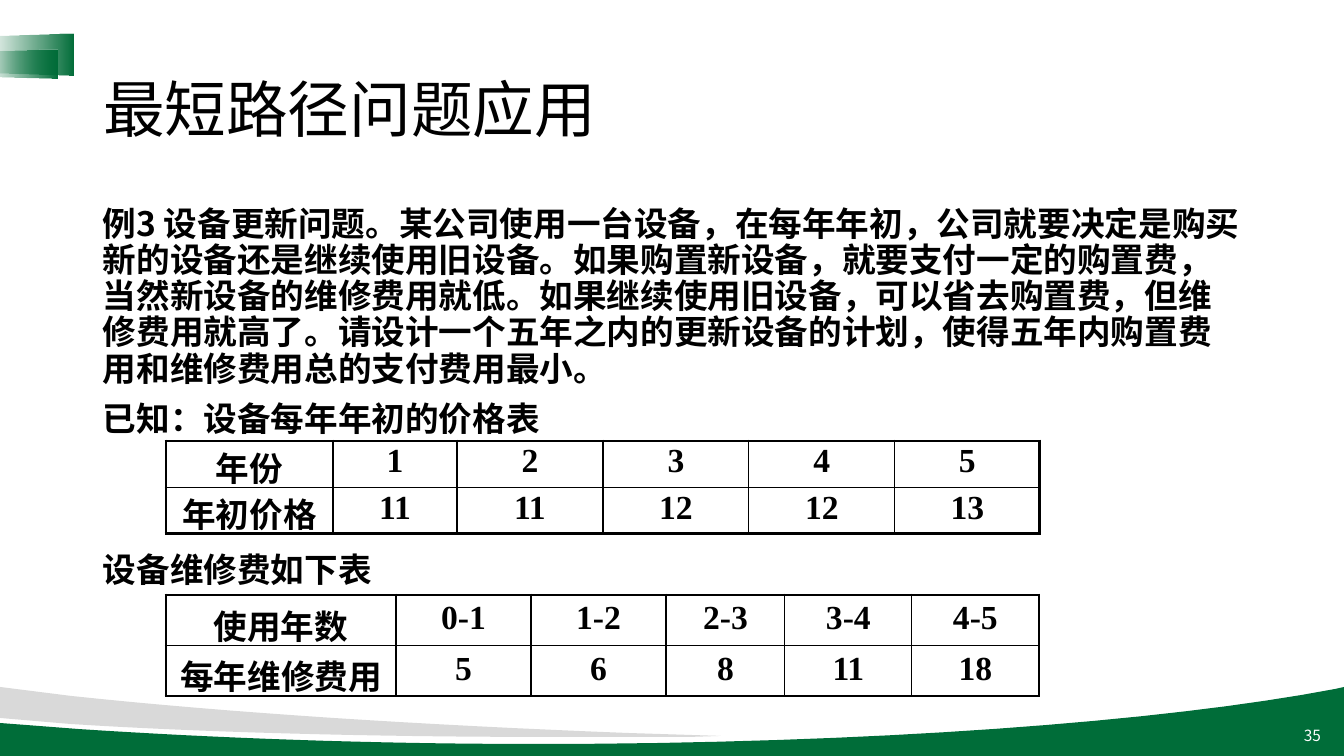
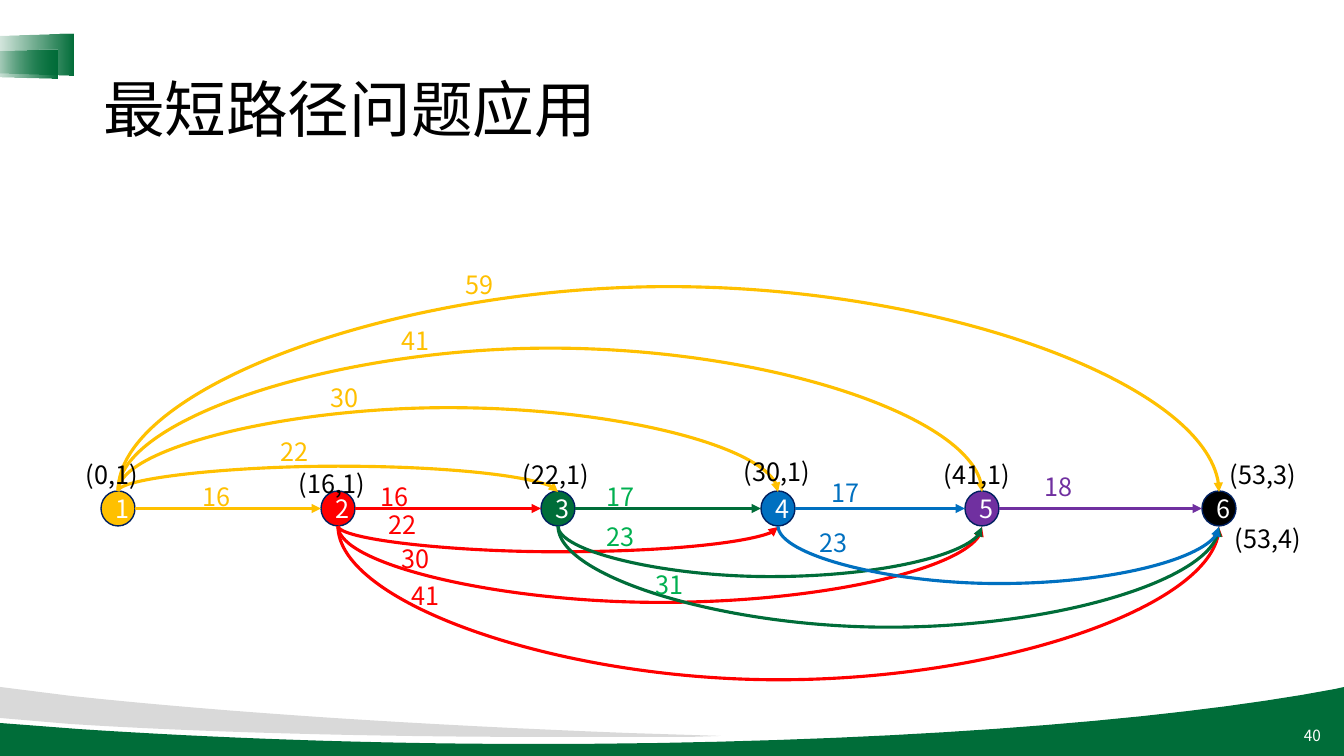
from lxml import etree
from pptx import Presentation
from pptx import util as u
from pptx.dml.color import RGBColor
from pptx.enum import shapes, text
from pptx.oxml.ns import qn

PX = 12192000 / 1344  # EMU per px
SANS, SERIF = "Noto Sans CJK SC", "Times New Roman"

BLACK = RGBColor(0x00, 0x00, 0x00)
WHITE = RGBColor(0xFF, 0xFF, 0xFF)
GREEN = RGBColor(0x00, 0x6D, 0x39)
GREY = RGBColor(0xD9, 0xD9, 0xD9)
NAVY = RGBColor(0x00, 0x20, 0x60)
YELLOW = RGBColor(0xFF, 0xC0, 0x00)
RED = RGBColor(0xFF, 0x00, 0x00)
BLUE = RGBColor(0x00, 0x70, 0xC0)
PURPLE = RGBColor(0x70, 0x30, 0xA0)
LIGHT_GREEN = RGBColor(0x00, 0xB0, 0x50)

# Shared frame: pairs are line ends, sixes are Bezier curves
TITLE = "最短路径问题应用"
SWOOSHES = [
    (GREEN, [(1344, 687), (1344, 756), (0, 756), (0, 723), (78, 729),
             (214, 738, 370, 744, 536, 744), (869, 744, 1162, 722, 1335, 689)]),
    (GREY, [(0, 687), (71, 696), (231, 713, 420, 725, 627, 733), (721, 736),
            (689, 737), (645, 737, 599, 737, 552, 737),
            (364, 737, 194, 732, 70, 724), (0, 718)]),
]
TABS = [(8, 10, 41, 89), (6, 27, 29, 74)]

# Equipment example: text with space before in points
EXAMPLE = [
    ("例3 设备更新问题。某公司使用一台设备，在每年年初，公司就要决定是购买新的设备还是"
     "继续使用旧设备。如果购置新设备，就要支付一定的购置费，当然新设备的维修费用就低。"
     "如果继续使用旧设备，可以省去购置费，但维修费用就高了。请设计一个五年之内的更新设备的"
     "计划，使得五年内购置费用和维修费用总的支付费用最小。", 0),
    ("已知：设备每年年初的价格表", 10),
    ("设备维修费如下表", 82),
]
PRICES = [["年份", "1", "2", "3", "4", "5"],
          ["年初价格", "11", "11", "12", "12", "13"]]
UPKEEP = [["使用年数", "0-1", "1-2", "2-3", "3-4", "4-5"],
          ["每年维修费用", "5", "6", "8", "11", "18"]]
# rows, top, row height, column widths, line spacing
TABLES = [
    (PRICES, 441, 46, [167, 124, 146, 146, 146, 145], 0.9),
    (UPKEEP, 595, 50, [230, 135, 135, 119, 127, 127], 1.0),
]
TABLE_LEFT = 166

# Network: node number -> left, fill, colour of the costs on its edges
NODE_TOP, NODE_W, NODE_H = 491, 34, 35
NODES = {
    1: (101, YELLOW, YELLOW),
    2: (321, RED, RED),
    3: (541, GREEN, LIGHT_GREEN),
    4: (761, BLUE, BLUE),
    5: (965, PURPLE, PURPLE),
    6: (1202, BLACK, BLACK),
}
# from, to, cost, bulge (0 straight, below 0 over the nodes), label left and top
EDGES = [
    (1, 2, "16", 0, 193, 476), (1, 3, "22", -25, 271, 431),
    (1, 4, "30", -84, 321, 377), (1, 5, "41", -144, 392, 320),
    (1, 6, "59", -206, 456, 264),
    (2, 3, "16", 0, 371, 476), (2, 4, "22", 26, 379, 504),
    (2, 5, "30", 77, 392, 538), (2, 6, "41", 155, 402, 575),
    (3, 4, "17", 0, 597, 476), (3, 5, "23", 51, 597, 516),
    (3, 6, "31", 102, 646, 564),
    (4, 5, "17", 0, 822, 472), (4, 6, "23", 58, 810, 522),
    (5, 6, "18", 0, 1035, 466),
]
MARKS = [("(0,1)", 76, 454), ("(16,1)", 289, 463), ("(22,1)", 513, 454),
         ("(30,1)", 734, 451), ("(41,1)", 934, 454), ("(53,3)", 1220, 454),
         ("(53,4)", 1225, 518)]


def px(*lengths):
    return [u.Emu(round(n * PX)) for n in lengths]


def write(paragraph, words, size, color=BLACK, font=SANS, bold=False, align=None):
    paragraph.alignment = align
    run = paragraph.add_run()
    run.text = words
    run.font.size, run.font.bold = u.Pt(size), bold
    run.font.color.rgb, run.font.name = color, font
    etree.SubElement(run._r.get_or_add_rPr(), qn("a:ea"), typeface=SANS)


def add_text(slide, box, words, size, color=BLACK, align=None, wrap=False):
    frame = slide.shapes.add_textbox(*px(*box)).text_frame
    frame.word_wrap = wrap
    write(frame.paragraphs[0], words, size, color, align=align)
    return frame


# ---- Shared frame ----
def outline(parts, steps=16):
    points = []
    for part in parts:
        if len(part) == 2:
            points.append(part)
            continue
        p0, p1, p2, p3 = points[-1], part[:2], part[2:4], part[4:]
        for i in range(1, steps + 1):
            t = i / steps
            s = 1 - t
            points.append(tuple(
                s**3 * a + 3 * s * s * t * b + 3 * s * t * t * c + t**3 * d
                for a, b, c, d in zip(p0, p1, p2, p3)))
    return [tuple(px(*point)) for point in points]


def decorate(layout, slide):
    """Draw the swooshes and tabs, then move them onto the layout."""
    parts = []
    for color, path in SWOOSHES:
        points = outline(path)
        builder = slide.shapes.build_freeform(*points[0], scale=1.0)
        builder.add_line_segments(points[1:], close=True)
        swoosh = builder.convert_to_shape()
        swoosh.fill.solid()
        swoosh.fill.fore_color.rgb = color
        parts.append(swoosh)
    for box in TABS:
        tab = slide.shapes.add_shape(shapes.MSO_SHAPE.TRAPEZOID, *px(*box))
        tab.rotation = 270
        tab.adjustments[0] = 0.07
        tab.fill.gradient()
        tab.fill.gradient_angle = 0
        for stop in tab.fill.gradient_stops:
            stop.color.rgb = GREEN
        fade = tab._element.spPr.find(qn("a:gradFill"))
        fade.set("rotWithShape", "0")
        etree.SubElement(next(fade.iter(qn("a:srgbClr"))), qn("a:alpha"), val="0")
        parts.append(tab)
    for place, part in enumerate(parts, start=2):
        part.line.fill.background()
        part.shadow.inherit = False
        layout.shapes._spTree.insert(place, part._element)


def new_slide(prs, number):
    slide = prs.slides.add_slide(prs.slide_layouts[5])
    title = slide.shapes.title
    title.left, title.top, title.width, title.height = px(93, 40, 1159, 146)
    title.text_frame.vertical_anchor = text.MSO_ANCHOR.MIDDLE
    heading = title.text_frame.paragraphs[0]
    write(heading, TITLE, 44, align=text.PP_ALIGN.LEFT)
    heading.line_spacing = 0.9
    frame = add_text(slide, (1029, 715, 302, 40), number, 11, WHITE,
                     text.PP_ALIGN.RIGHT, wrap=True)
    frame.vertical_anchor = text.MSO_ANCHOR.MIDDLE
    return slide


# ---- Tables ----
def set_borders(cell, edges):
    """edges: side -> True for the thick outer frame."""
    cell.fill.background()
    tc_pr = cell._tc.get_or_add_tcPr()
    for place, (side, outer) in enumerate(edges.items()):
        line = etree.Element(qn("a:ln" + side), w=str(u.Pt(2.25 if outer else 1)))
        fill = etree.SubElement(line, qn("a:solidFill"))
        etree.SubElement(fill, qn("a:srgbClr"), val=str(BLACK))
        tc_pr.insert(place, line)


def add_grid(slide, rows, top, row_height, widths, spacing):
    box = px(TABLE_LEFT, top, sum(widths), row_height * len(rows))
    table = slide.shapes.add_table(len(rows), len(widths), *box).table
    table.first_row = table.horz_banding = False
    for column, width in zip(table.columns, px(*widths)):
        column.width = width
    for r, row in enumerate(rows):
        table.rows[r].height = px(row_height)[0]
        for c, words in enumerate(row):
            cell = table.cell(r, c)
            paragraph = cell.text_frame.paragraphs[0]
            write(paragraph, words, 24, font=SERIF, bold=True,
                  align=text.PP_ALIGN.CENTER)
            paragraph.line_spacing = spacing
            set_borders(cell, {"L": c == 0, "R": c == len(row) - 1,
                               "T": r == 0, "B": r == len(rows) - 1})


# ---- Network ----
def add_node(slide, number, left, color):
    node = slide.shapes.add_shape(shapes.MSO_SHAPE.OVAL,
                                  *px(left, NODE_TOP, NODE_W, NODE_H))
    node.shadow.inherit = False
    node.fill.solid()
    node.fill.fore_color.rgb = color
    node.line.color.rgb, node.line.width = NAVY, u.Pt(1)
    write(node.text_frame.paragraphs[0], str(number), 18, WHITE,
          align=text.PP_ALIGN.CENTER)


def add_edge(slide, start, end, bulge):
    x1, x2 = NODES[start][0], NODES[end][0]
    if bulge:
        # A quarter turn of a box 1 px wide and as tall as the span
        span, middle = x2 - x1, (x1 + x2 + NODE_W) / 2
        y = NODE_TOP + (NODE_H if bulge > 0 else 0)
        top = y + 0.5 - span / 2
        kind, ends = shapes.MSO_CONNECTOR.CURVE, (middle + 0.5, top, middle - 0.5, top + span)
    else:
        y = NODE_TOP + NODE_H / 2
        kind, ends = shapes.MSO_CONNECTOR.STRAIGHT, (x1 + NODE_W, y, x2, y)
    edge = slide.shapes.add_connector(kind, *px(*ends))
    edge.line.color.rgb, edge.line.width = NODES[start][1], u.Pt(2.25)
    shape_pr = edge._element.spPr
    if bulge:
        shape_pr.find(qn("a:xfrm")).set("rot", str(270 * 60000))
        etree.SubElement(next(shape_pr.iter(qn("a:avLst"))), qn("a:gd"),
                         name="adj1", fmla=f"val {bulge * 100000}")
    etree.SubElement(shape_pr.find(qn("a:ln")), qn("a:tailEnd"), type="triangle")
    etree.SubElement(shape_pr, qn("a:effectLst"))


def main():
    prs = Presentation()
    prs.slide_width, prs.slide_height = px(1344, 756)

    # Equipment example with its two cost tables
    example = new_slide(prs, "35")
    decorate(prs.slide_layouts[5], example)
    frame = example.shapes.add_textbox(*px(93, 202, 1159, 480)).text_frame
    frame.word_wrap = True
    for i, (words, before) in enumerate(EXAMPLE):
        paragraph = frame.add_paragraph() if i else frame.paragraphs[0]
        write(paragraph, words, 24, bold=True)
        paragraph.line_spacing = 0.9
        if before:
            paragraph.space_before = u.Pt(before)
    for grid in TABLES:
        add_grid(example, *grid)

    # Shortest path network
    network = new_slide(prs, "40")
    for number, (left, color, _) in NODES.items():
        add_node(network, number, left, color)
    for start, end, cost, bulge, left, top in EDGES:
        add_edge(network, start, end, bulge)
        add_text(network, (left, top, 50, 40), cost, 18, NODES[start][2])
    for mark, left, top in MARKS:
        add_text(network, (left, top, 94, 40), mark, 18)

    prs.save("out.pptx")


if __name__ == "__main__":
    main()
